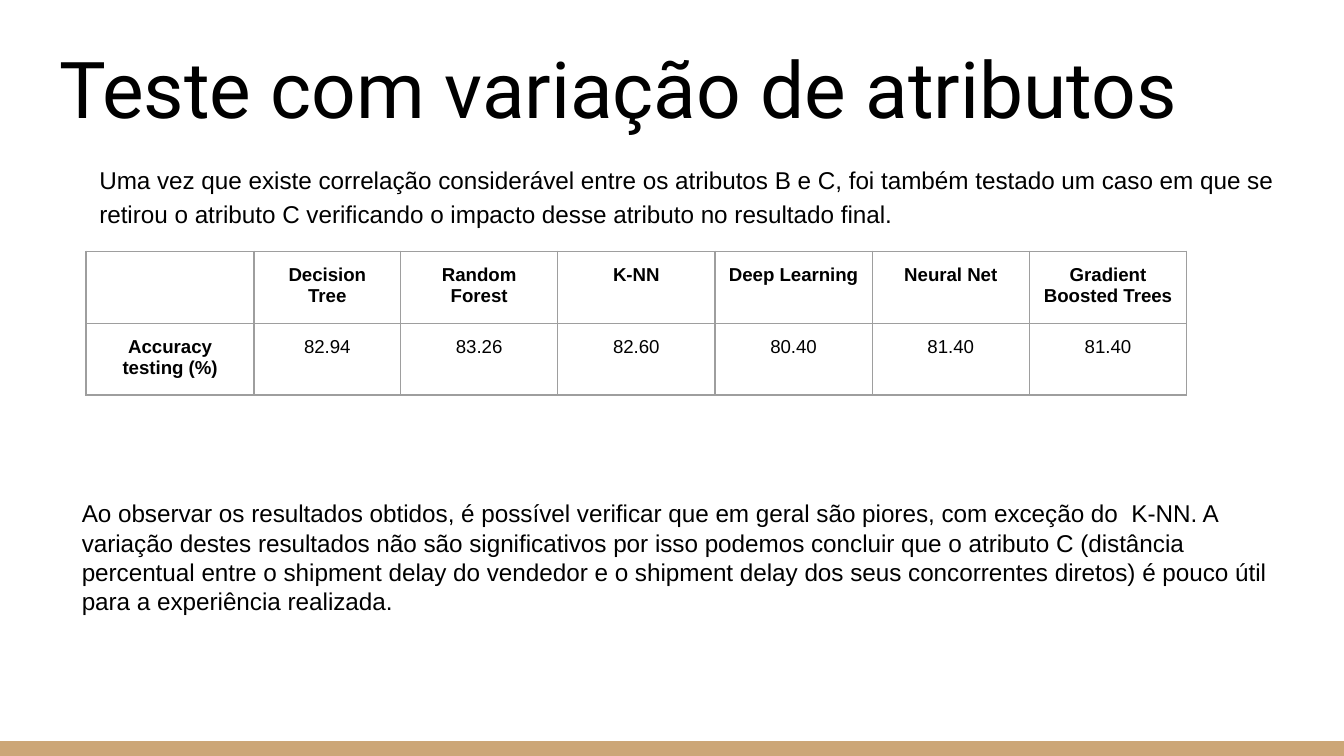
from lxml.etree import SubElement as Sub
from pptx import Presentation
from pptx.dml.color import RGBColor as RGB
from pptx.enum.shapes import MSO_SHAPE as Shape
from pptx.enum.text import MSO_ANCHOR as Anchor, MSO_AUTO_SIZE as Fit, PP_ALIGN as Align
from pptx.oxml.ns import qn
from pptx.util import Inches, Pt

TITLE = "Teste com variação de atributos"
INTRO = ("Uma vez que existe correlação considerável entre os atributos B e C, "
         "foi também testado um caso em que se retirou o atributo C verificando "
         "o impacto desse atributo no resultado final.")
ROWS = [
    ["", "Decision Tree", "Random Forest", "K-NN", "Deep Learning", "Neural Net",
     "Gradient Boosted Trees"],
    ["Accuracy testing (%)", "82.94", "83.26", "82.60", "80.40", "81.40", "81.40"],
]
CLOSE = ("Ao observar os resultados obtidos, é possível verificar que em geral são "
         "piores, com exceção do  K-NN. A variação destes resultados não são "
         "significativos por isso podemos concluir que o atributo C (distância "
         "percentual entre o shipment delay do vendedor e o shipment delay dos seus "
         "concorrentes diretos) é pouco útil para a experiência realizada.")

COLORS = {"text": "000000", "back": "FFFFFF", "band": "CCA677", "grid": "9E9E9E"}
WIDE = 10
HIGH = WIDE * 9 / 16
BAND = 0.11
LEFT = 0.64
TEXT_W = 9.02
COLS = [1.25, 1.09] + [1.17] * 5
HEIGHTS = [0.52, 0.36]  # the second row grows to fit its text
PAD = Inches(0.1)


def color(name):
    return RGB.from_string(COLORS[name])


def place(shape, *box):
    shape.left, shape.top, shape.width, shape.height = map(Inches, box)


def write(frame, text, size, face="Arial", bold=False, align=Align.LEFT):
    frame.text = text
    para = frame.paragraphs[0]
    para.alignment = align
    font = para.font
    font.name, font.size, font.bold = face, Pt(size), bold
    font.color.rgb = color("text")
    return para


def pad(item):
    item.margin_left = item.margin_right = item.margin_top = item.margin_bottom = PAD


def add_text(slide, text, *box):
    frame = slide.shapes.add_textbox(*map(Inches, box)).text_frame
    frame.word_wrap = True
    pad(frame)
    return write(frame, text, 13)


def border(cell):
    props = cell._tc.get_or_add_tcPr()
    for at, side in enumerate(("lnL", "lnR", "lnT", "lnB")):
        line = Sub(props, qn("a:" + side), w=str(Pt(0.75)))
        fill = Sub(line, qn("a:solidFill"))
        Sub(fill, qn("a:srgbClr"), val=COLORS["grid"])
        props.insert(at, line)  # borders come before the fill


def add_grid(slide):
    table = slide.shapes.add_table(
        len(ROWS), len(COLS), Inches(LEFT), Inches(1.87),
        Inches(sum(COLS)), Inches(sum(HEIGHTS))).table
    for col, width in zip(table.columns, COLS):
        col.width = Inches(width)
    for row, height in zip(table.rows, HEIGHTS):
        row.height = Inches(height)
    for r, row in enumerate(ROWS):
        for c, text in enumerate(row):
            cell = table.cell(r, c)
            pad(cell)
            write(cell.text_frame, text, 10, bold=r == 0 or c == 0, align=Align.CENTER)
            cell.fill.background()
            border(cell)


def main():
    deck = Presentation()
    deck.slide_width, deck.slide_height = Inches(WIDE), Inches(HIGH)
    slide = deck.slides.add_slide(deck.slide_layouts[5])
    slide.background.fill.solid()
    slide.background.fill.fore_color.rgb = color("back")

    band = slide.shapes.add_shape(
        Shape.RECTANGLE, 0, Inches(HIGH - BAND), Inches(WIDE), Inches(BAND))
    band.shadow.inherit = False
    band.fill.solid()
    band.fill.fore_color.rgb = color("band")
    band.line.fill.background()

    title = slide.shapes.title
    place(title, 0.34, 0.19, 9.32, 0.91)
    frame = title.text_frame
    frame.auto_size = Fit.NONE
    frame.vertical_anchor = Anchor.BOTTOM
    pad(frame)
    write(frame, TITLE, 42, "Roboto")

    intro = add_text(slide, INTRO, LEFT, 1.1, TEXT_W, 0.71)
    intro.line_spacing = 1.15
    intro.space_after = Pt(16)
    add_grid(slide)
    add_text(slide, CLOSE, 0.51, 3.61, TEXT_W, 1.31)
    deck.save("out.pptx")


if __name__ == "__main__":
    main()
